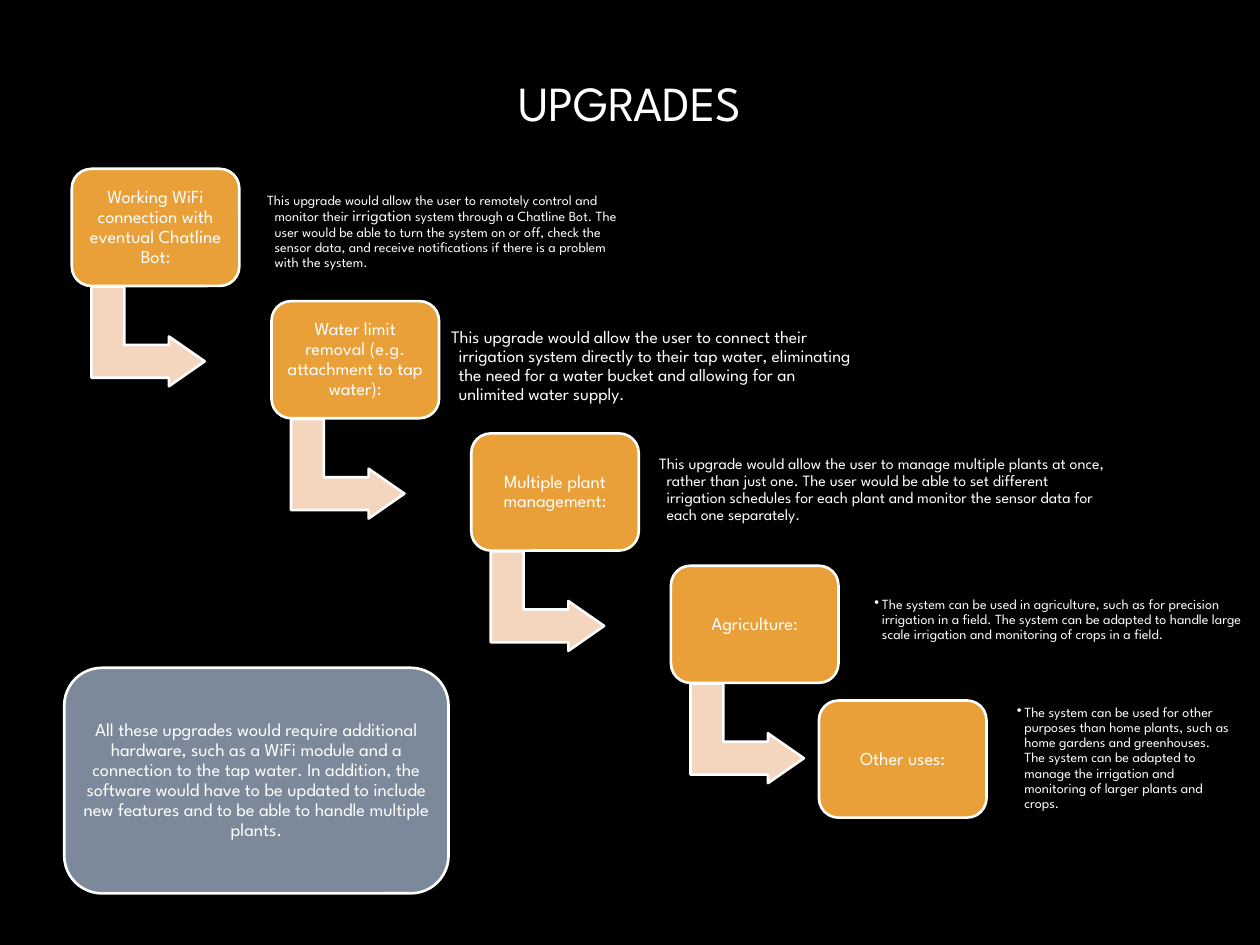
from lxml import etree
from pptx import Presentation
from pptx.dml.color import RGBColor
from pptx.enum.shapes import MSO_SHAPE
from pptx.enum.text import MSO_ANCHOR, PP_ALIGN
from pptx.oxml.ns import qn
from pptx.util import Inches, Pt

ROUND_RECT = MSO_SHAPE.ROUNDED_RECTANGLE
BENT_ARROW = MSO_SHAPE.BENT_UP_ARROW
MIDDLE = MSO_ANCHOR.MIDDLE
LEFT, CENTER = PP_ALIGN.LEFT, PP_ALIGN.CENTER

FONT = "League Spartan"
COLORS = {"back": "000000", "text": "FFFFFF", "line": "FFFFFF",
          "step": "E9A039", "arrow": "F4D6BF", "note": "7C899A"}


def color(name):
    return RGBColor.from_string(COLORS[name])


def write(s, text, size=10.5, align=CENTER, inset=0.05, spacing=0.9,
          hanging=False, bullet=False):
    """Fill a shape with one paragraph; text is a string or (text, size) runs."""
    tf = s.text_frame
    tf.word_wrap = True
    tf.vertical_anchor = MIDDLE
    tf.margin_left = tf.margin_right = Inches(inset)
    tf.margin_top = tf.margin_bottom = Inches(inset)
    p = tf.paragraphs[0]
    if hanging:
        pPr = p._p.get_or_add_pPr()
        pPr.set("marL", str(Inches(0.06)))
        pPr.set("indent", str(-Inches(0.06)))
        if bullet:
            etree.SubElement(pPr, qn("a:buChar")).set("char", "•")
    p.alignment = align
    p.line_spacing = spacing
    for run_text, run_size in [(text, size)] if isinstance(text, str) else text:
        r = p.add_run()
        r.text = run_text
        r.font.name = FONT
        r.font.size = Pt(run_size)
        r.font.color.rgb = color("text")


class Deck:
    """The slide and the style of its elements."""

    def __init__(self, prs):
        self.slide = prs.slides.add_slide(prs.slide_layouts[6])
        fill = self.slide.background.fill
        fill.solid()
        fill.fore_color.rgb = color("back")

    def shape(self, kind, at, fill, adjustments):
        s = self.slide.shapes.add_shape(kind, *map(Inches, at))
        s.shadow.inherit = False
        s.fill.solid()
        s.fill.fore_color.rgb = color(fill)
        s.line.color.rgb = color("line")
        s.line.width = Pt(1.5)
        for i, value in enumerate(adjustments):
            s.adjustments[i] = value
        return s

    def box(self, at, fill, text, **fmt):
        write(self.shape(ROUND_RECT, at, fill, [0.167]), text, **fmt)

    def arrow(self, at):
        self.shape(BENT_ARROW, at, "arrow", [0.33, 0.25, 0.36]).rotation = 90

    def text(self, at, text, **fmt):
        write(self.slide.shapes.add_textbox(*map(Inches, at)), text, **fmt)


# Step title, description, its size, its place (left, top, width), bullet
STEPS = [
    ("Working WiFi connection with eventual Chatline Bot:",
     [("This upgrade would allow the user to remotely control and monitor their ", 8),
      ("irrigation", 9),
      (" system through a Chatline Bot. The user would be able to turn the system "
       "on or off, check the sensor data, and receive notifications if there is a "
       "problem with the system.", 8)],
     8, (2.09, 1.46, 2.96), False),
    ("Water limit removal (e.g. attachment to tap water):",
     "This upgrade would allow the user to connect their irrigation system directly "
     "to their tap water, eliminating the need for a water bucket and allowing for "
     "an unlimited water supply.",
     10, (3.54, 2.53, 3.33), False),
    ("Multiple plant management:",
     "This upgrade would allow the user to manage multiple plants at once, rather "
     "than just one. The user would be able to set different irrigation schedules "
     "for each plant and monitor the sensor data for each one separately.",
     9, (5.19, 3.51, 3.61), False),
    ("Agriculture:",
     "The system can be used in agriculture, such as for precision irrigation in a "
     "field. The system can be adapted to handle large scale irrigation and "
     "monitoring of crops in a field.",
     8, (6.91, 4.54, 3.02), True),
    ("Other uses:",
     "The system can be used for other purposes than home plants, such as home "
     "gardens and greenhouses. The system can be adapted to manage the irrigation "
     "and monitoring of larger plants and crops.",
     8, (8.04, 5.64, 1.79), True),
]
NOTE = ("All these upgrades would require additional hardware, such as a WiFi module "
        "and a connection to the tap water. In addition, the software would have to "
        "be updated to include new features and to be able to handle multiple plants.")

STEP_W, STEP_H = 1.33, 0.93
LAST_STEP = (6.5, 5.56)


def main():
    prs = Presentation()
    prs.slide_width, prs.slide_height = Inches(10), Inches(7.5)
    deck = Deck(prs)

    # Title
    deck.text((0, 0, 10, 1.62), "UPGRADES", size=28, spacing=1)

    # Staircase: each arrow leads from one step down to the next
    for i, (title, description, size, place, bullet) in enumerate(STEPS):
        is_last = i == len(STEPS) - 1
        x, y = LAST_STEP if is_last else (0.57 + 1.585 * i, 1.34 + 1.05 * i)
        if not is_last:
            deck.arrow((x + 0.21, y + 0.88, 0.79, 0.9))
        deck.box((x, y, STEP_W, STEP_H), "step", title)
        deck.text((*place, 0.76), description, size=size, align=LEFT,
                  inset=0.03 if size == 8 else 0.04, hanging=True, bullet=bullet)

    # Closing note
    deck.box((0.51, 5.3, 3.05, 1.79), "note", NOTE)

    prs.save("out.pptx")


if __name__ == "__main__":
    main()
